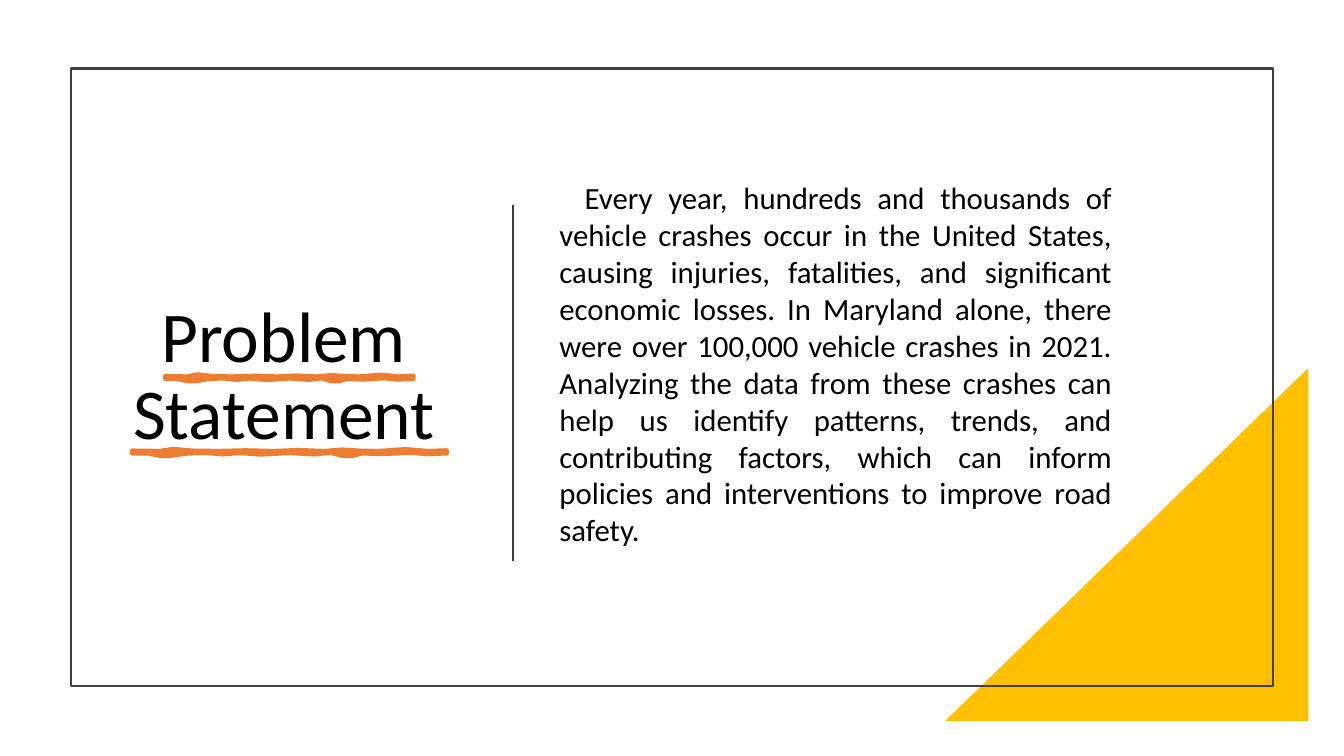
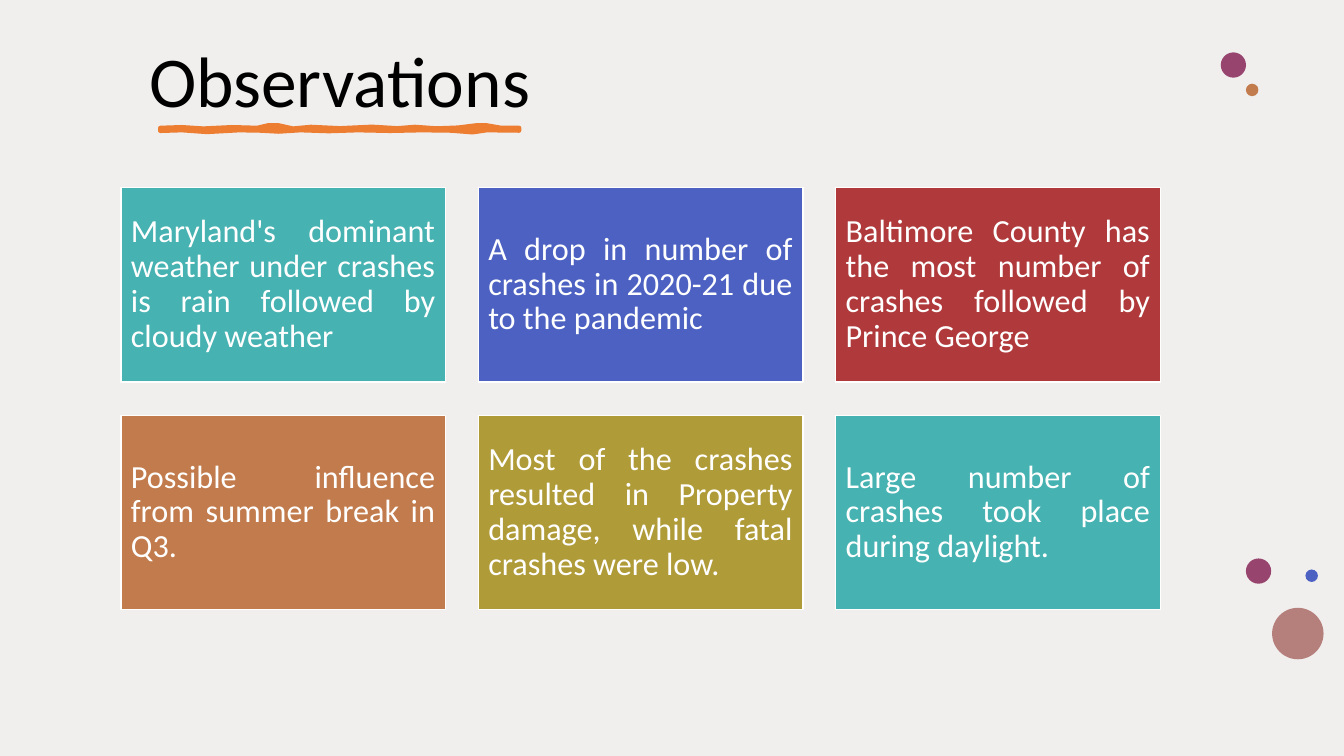
"""Builds two slides on vehicle crashes: a problem statement and a grid of observations."""
from dataclasses import dataclass
from typing import Optional

from lxml import etree
from pptx import Presentation
from pptx import util as u
from pptx.dml import color
from pptx.enum import shapes as kinds, text as styles
from pptx.oxml import ns

WIDTH, HEIGHT = u.Inches(13.333), u.Inches(7.5)
FONT = "Calibri"
BLACK, WHITE, GREY = "000000", "FFFFFF", "3F3F3F"
ORANGE, YELLOW, VEIL = "ED7D31", "FFC000", "D3CCC8"
TEAL, BLUE, RED, COPPER, OLIVE = "46B2B1", "4C61C2", "B0393B", "C27B4C", "B09B39"
PLUM, ROSE = "97446E", "B57F7B"

UPPER_WAVE = [
    (0, 0), (6, -0.5), (12, 0.5), (20, -0.5), (27, 0), (30, -1.8), (33, -1.8),
    (37, 0.5), (42, -0.7), (50, 0.3), (59, -0.8), (66, 0.3), (71, -0.7),
    (77, 0.4), (83, -0.2), (88, -1.8), (91, -1.8), (95, 0), (100, 0),
]
LOWER_WAVE = [
    (100, 1.8), (91, 1.5), (87, 3), (81, 1.8), (73, 1.5), (64, 2), (55, 1.5),
    (47, 2.2), (39, 1.5), (33, 2.5), (28, 1.8), (22, 1.5), (13, 2.8), (6, 1.5), (0, 2),
]

PROBLEM = (
    "Every year, hundreds and thousands of vehicle crashes occur in the United States, "
    "causing injuries, fatalities, and significant economic losses. In Maryland alone, "
    "there were over 100,000 vehicle crashes in 2021. Analyzing the data from these "
    "crashes can help us identify patterns, trends, and contributing factors, which can "
    "inform policies and interventions to improve road safety."
)


@dataclass(frozen=True)
class Box:
    """A rectangle in percent of the slide's width and height."""
    left: float
    top: float
    width: float
    height: float

    def lengths(self) -> tuple:
        """Return left, top, width and height as slide lengths."""
        return across(self.left), down(self.top), across(self.width), down(self.height)


@dataclass(frozen=True)
class Dot:
    """A circle whose diameter is a percentage of the slide's width."""
    left: float
    top: float
    diameter: float
    fill: str


@dataclass(frozen=True)
class Card:
    """One observation and its colour."""
    words: str
    fill: str


@dataclass(frozen=True)
class Underline:
    """A hand-drawn stroke below a word."""
    left: float
    top: float
    width: float
    rotation: int = 0


DOTS = [
    Dot(92.7, 11.07, 0.93, COPPER),
    Dot(92.7, 73.87, 1.88, PLUM),
    Dot(94.65, 80.4, 3.83, ROSE),
    Dot(97.13, 75.33, 0.93, BLUE),
    Dot(90.83, 6.93, 1.88, PLUM),
]
CARDS = [
    Card("Maryland's dominant weather under crashes is rain followed by cloudy weather", TEAL),
    Card("A drop in number of crashes in 2020-21 due to the pandemic", BLUE),
    Card("Baltimore County has the most number of crashes followed by Prince George", RED),
    Card("Possible influence from summer break in Q3.", COPPER),
    Card("Most of the crashes resulted in Property damage, while fatal crashes were low.", OLIVE),
    Card("Large number of crashes took place during daylight.", TEAL),
]
CARD_COLUMNS = 3
FIRST_CARD = Box(9, 24.8, 24.15, 25.73)
GAP_ACROSS, GAP_DOWN = 2.44, 4.4


def across(percent: float) -> int:
    """Return a share of the slide's width."""
    return u.Emu(round(WIDTH * percent / 100))


def down(percent: float) -> int:
    """Return a share of the slide's height."""
    return u.Emu(round(HEIGHT * percent / 100))


def tint(hex_code: str) -> color.RGBColor:
    """Return the colour for a hex string."""
    return color.RGBColor.from_string(hex_code)


def paint(shape, fill: Optional[str], line: Optional[str] = None, points: float = 1) -> None:
    """Set fill and outline and drop the shadow."""
    shape.shadow.inherit = False
    if fill:
        shape.fill.solid()
        shape.fill.fore_color.rgb = tint(fill)
    else:
        shape.fill.background()
    if line:
        shape.line.color.rgb = tint(line)
        shape.line.width = u.Pt(points)
    else:
        shape.line.fill.background()


def write(shape, words: str, size: float, hex_code: str, align, spacing: float = 0.9):
    """Fill a shape with one formatted paragraph and return the paragraph."""
    frame = shape.text_frame
    frame.text = words
    frame.word_wrap = True
    frame.auto_size = styles.MSO_AUTO_SIZE.NONE
    frame.vertical_anchor = styles.MSO_ANCHOR.MIDDLE
    para = frame.paragraphs[0]
    para.alignment = align
    para.line_spacing = spacing
    para.space_before = u.Pt(0)
    for span in para.runs:
        span.font.name = FONT
        span.font.size = u.Pt(size)
        span.font.color.rgb = tint(hex_code)
    return para


def place(shape, box: Box) -> None:
    """Move and size a placeholder."""
    shape.left, shape.top, shape.width, shape.height = box.lengths()


def add_title(page, words: str, box: Box, align) -> None:
    """Write the slide's title."""
    place(page.shapes.title, box)
    write(page.shapes.title, words, 51, BLACK, align)


def add_underline(page, stroke: Underline) -> None:
    """Draw a wavy stroke."""
    points = [
        (across(stroke.left + stroke.width * share / 100), down(stroke.top) + u.Pt(rise))
        for share, rise in UPPER_WAVE + LOWER_WAVE
    ]
    builder = page.shapes.build_freeform(*points[0])
    builder.add_line_segments(points[1:], close=True)
    shape = builder.convert_to_shape()
    shape.rotation = stroke.rotation
    paint(shape, ORANGE, ORANGE, 3.25)


def add_divider(page, left: float, top: float, bottom: float) -> None:
    """Draw a vertical line."""
    line = page.shapes.add_connector(
        kinds.MSO_CONNECTOR.STRAIGHT, across(left), down(top), across(left), down(bottom))
    line.line.color.rgb = tint(GREY)
    line.line.width = u.Pt(1.5)
    etree.SubElement(line.element.spPr, ns.qn("a:effectLst"))


def add_card(page, card: Card, index: int) -> None:
    """Draw one observation in its cell of the grid."""
    row, column = divmod(index, CARD_COLUMNS)
    box = Box(
        FIRST_CARD.left + column * (FIRST_CARD.width + GAP_ACROSS),
        FIRST_CARD.top + row * (FIRST_CARD.height + GAP_DOWN),
        FIRST_CARD.width, FIRST_CARD.height)
    shape = page.shapes.add_shape(kinds.MSO_SHAPE.RECTANGLE, *box.lengths())
    paint(shape, card.fill, WHITE)
    write(shape, card.words, 23, WHITE, styles.PP_ALIGN.JUSTIFY)


def build_problem(deck) -> None:
    """Build the problem statement slide."""
    page = deck.slides.add_slide(deck.slide_layouts[1])
    corner = page.shapes.add_shape(
        kinds.MSO_SHAPE.RIGHT_TRIANGLE, *Box(70.35, 48.67, 27, 46.67).lengths())
    corner.element.spPr.get_or_add_xfrm().set("flipH", "1")
    paint(corner, YELLOW)
    border = page.shapes.add_shape(
        kinds.MSO_SHAPE.RECTANGLE, *Box(5.25, 9.07, 89.48, 81.73).lengths())
    paint(border, None, GREY, 1.5)
    add_title(page, "Problem Statement", Box(8.85, 17.33, 24.53, 65.33), styles.PP_ALIGN.CENTER)
    add_divider(page, 38.18, 27.07, 74.27)
    body = page.placeholders[1]
    place(body, Box(39, 22.13, 44.48, 51.87))
    para = write(body, PROBLEM, 22, BLACK, styles.PP_ALIGN.JUSTIFY, 1.0)
    layout = para._p.get_or_add_pPr()
    for name in ("marL", "indent"):
        layout.set(name, str(u.Inches(0.25)))
    etree.SubElement(layout, ns.qn("a:buNone"))
    for stroke in (Underline(9.83, 59.73, 23.4, 180), Underline(12.3, 49.87, 18.45, 180)):
        add_underline(page, stroke)


def build_observations(deck) -> None:
    """Build the observations slide."""
    page = deck.slides.add_slide(deck.slide_layouts[5])
    veil = page.shapes.add_shape(kinds.MSO_SHAPE.RECTANGLE, *Box(0, 0, 100, 100).lengths())
    paint(veil, VEIL)
    shade = veil.element.spPr.find(".//" + ns.qn("a:srgbClr"))
    etree.SubElement(shade, ns.qn("a:alpha")).set("val", "30000")
    page.shapes.element.insert(2, veil.element)
    for dot in DOTS:
        side = across(dot.diameter)
        circle = page.shapes.add_shape(
            kinds.MSO_SHAPE.OVAL, across(dot.left), down(dot.top), side, side)
        paint(circle, dot.fill)
    add_title(page, "Observations", Box(10.35, 3.6, 77.33, 15.07), styles.PP_ALIGN.LEFT)
    for index, card in enumerate(CARDS):
        add_card(page, card, index)
    add_underline(page, Underline(11.93, 16.93, 26.7))


def main() -> None:
    """Build and save the deck."""
    deck = Presentation()
    deck.slide_width, deck.slide_height = WIDTH, HEIGHT
    build_problem(deck)
    build_observations(deck)
    deck.save("out.pptx")


if __name__ == "__main__":
    main()
